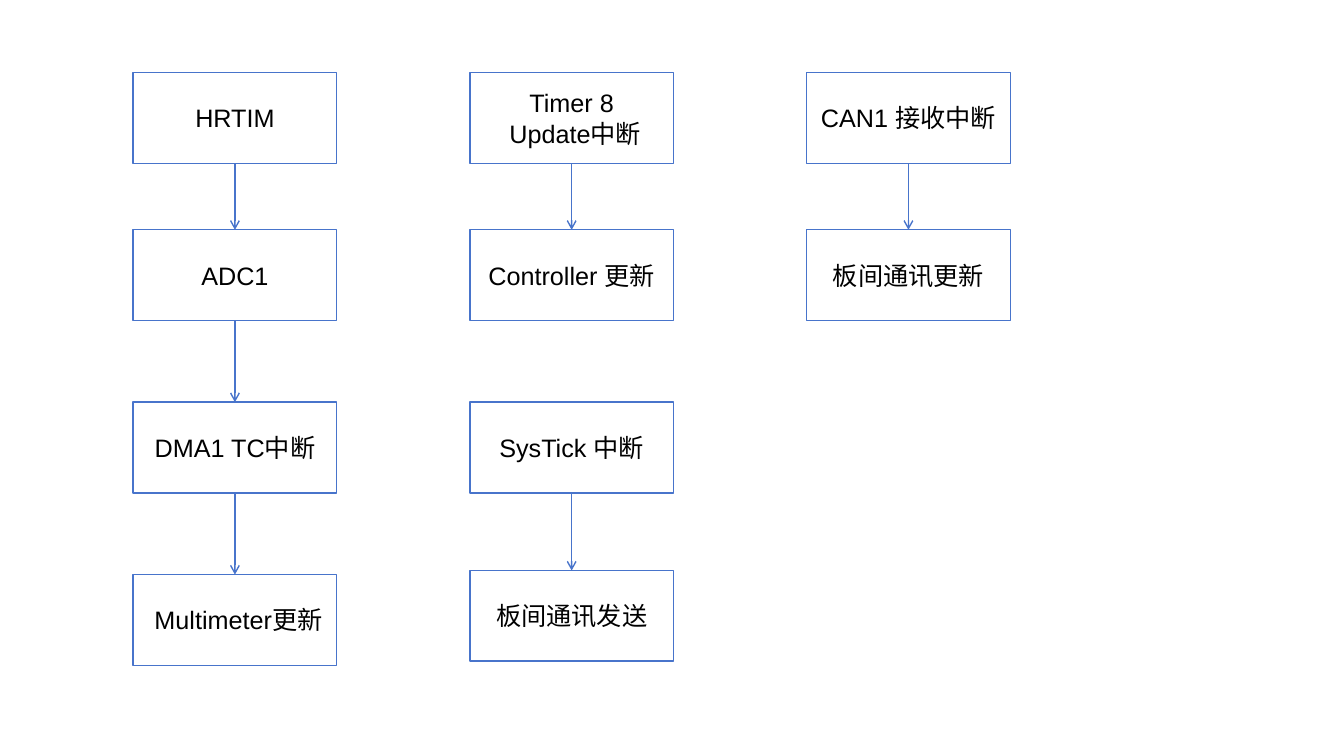
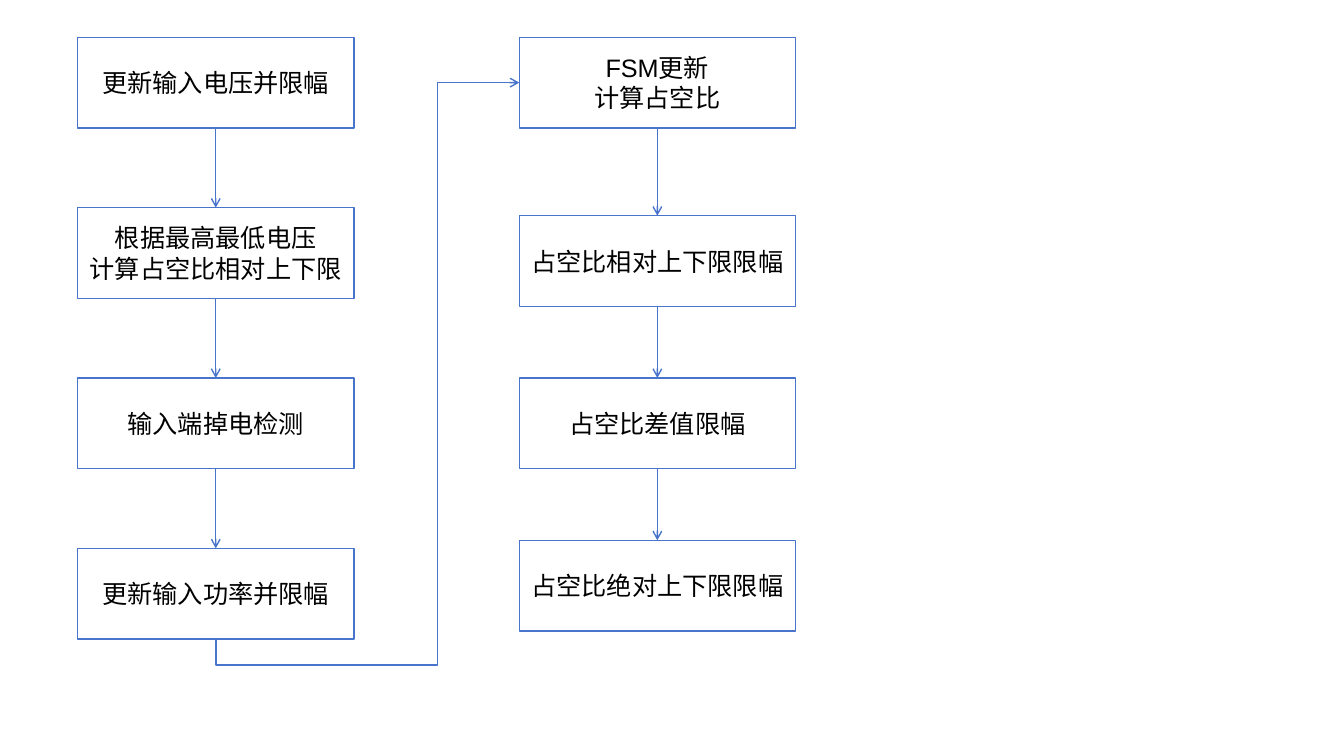
from lxml import etree
from pptx import Presentation
from pptx.dml.color import RGBColor
from pptx.enum.shapes import MSO_CONNECTOR, MSO_SHAPE
from pptx.enum.text import MSO_ANCHOR, PP_ALIGN
from pptx.oxml.ns import qn
from pptx.util import Inches, Pt

RECT = MSO_SHAPE.RECTANGLE
STRAIGHT, ELBOW = MSO_CONNECTOR.STRAIGHT, MSO_CONNECTOR.ELBOW
MIDDLE, CENTER = MSO_ANCHOR.MIDDLE, PP_ALIGN.CENTER

# Shared look
BLUE = RGBColor(0x48, 0x74, 0xCB)
BLACK = RGBColor(0, 0, 0)
FRAME = {"word_wrap": True, "vertical_anchor": MIDDLE}
FONT = {"name": "Arial", "size": Pt(18)}
BOX_H = 0.9
TOP, LEFT, BOTTOM = 0, 1, 2  # connection sites of a box

# Grids, in inches: first column, column step, box width, row tops
TASKS = {"left": 1.32, "step": 3.34, "width": 2.02,
         "rows": [0.72, 2.28, 3.99, 5.7]}
STEPS = {"left": 0.77, "step": 4.38, "width": 2.74,
         "rows": [0.37 + 1.69 * i for i in range(4)]}
LIMITS = {**STEPS, "rows": [0.37, 2.14, 3.75, 5.36]}
SENDS = {**TASKS, "rows": [3.99, 5.66]}

# Chains of boxes: grid, column, texts
TASK_FLOWS = [
    (TASKS, 0, ["HRTIM", "ADC1", "DMA1 TC中断", " Multimeter更新"]),
    (TASKS, 1, ["Timer 8\n Update中断", "Controller 更新"]),
    (SENDS, 1, ["SysTick 中断", "板间通讯发送"]),
    (TASKS, 2, ["CAN1 接收中断", "板间通讯更新"]),
]
STEP_FLOWS = [
    (STEPS, 0, ["更新输入电压并限幅", "根据最高最低电压\n计算占空比相对上下限",
                "输入端掉电检测", "更新输入功率并限幅"]),
    (LIMITS, 1, ["FSM更新\n计算占空比", "占空比相对上下限限幅",
                 "占空比差值限幅", "占空比绝对上下限限幅"]),
]


def apply(item, values):
    for key, value in values.items():
        setattr(item, key, value)


def add_box(slide, grid, col, top, text):
    left = grid["left"] + col * grid["step"]
    box = slide.shapes.add_shape(RECT, Inches(left), Inches(top),
                                 Inches(grid["width"]), Inches(BOX_H))
    box.shadow.inherit = False
    box.fill.background()
    box.line.color.rgb = BLUE
    box.line.width = Pt(1)
    frame = box.text_frame
    apply(frame, FRAME)
    frame.text = text
    for para in frame.paragraphs:
        para.alignment = CENTER
        apply(para.font, FONT)
        para.font.color.rgb = BLACK
    return box


def add_arrow(slide, start, end, kind=STRAIGHT, site=TOP):
    arrow = slide.shapes.add_connector(kind, 0, 0, 0, 0)
    arrow.begin_connect(start, BOTTOM)
    arrow.end_connect(end, site)
    arrow.line.color.rgb = BLUE
    arrow.line.width = Pt(1)
    head = etree.SubElement(arrow.line._get_or_add_ln(), qn("a:tailEnd"))
    head.set("type", "arrow")
    etree.SubElement(arrow._element.spPr, qn("a:effectLst"))
    return arrow


def add_bend(slide, start, end, drop, share):
    """Lead down from start, up at a share of the way, then into end's left."""
    arrow = add_arrow(slide, start, end, ELBOW, LEFT)
    wide = abs(arrow.end_x - arrow.begin_x)
    high = abs(arrow.end_y - arrow.begin_y)
    mid_x = (arrow.begin_x + arrow.end_x) // 2
    mid_y = (arrow.begin_y + arrow.end_y) // 2
    # A quarter turn swaps width and height around the same centre
    apply(arrow, {"left": mid_x - high // 2, "top": mid_y - wide // 2,
                  "width": high, "height": wide})
    props = arrow._element.spPr
    apply_xml = {"rot": "5400000", "flipH": "1", "flipV": "1"}
    for key, value in apply_xml.items():
        props.find(qn("a:xfrm")).set(key, value)
    shape = props.find(qn("a:prstGeom"))
    shape.set("prst", "bentConnector4")
    guides = shape.find(qn("a:avLst"))
    if guides is None:
        guides = etree.SubElement(shape, qn("a:avLst"))
    for name, part in (("adj1", -Inches(drop) / high), ("adj2", share)):
        guide = etree.SubElement(guides, qn("a:gd"))
        guide.set("name", name)
        guide.set("fmla", f"val {round(part * 100000)}")


def add_flow(slide, grid, col, texts):
    boxes = [add_box(slide, grid, col, top, text)
             for top, text in zip(grid["rows"], texts)]
    for start, end in zip(boxes, boxes[1:]):
        add_arrow(slide, start, end)
    return boxes


def add_page(deck, flows):
    slide = deck.slides.add_slide(deck.slide_layouts[6])
    return slide, [add_flow(slide, *flow) for flow in flows]


def main():
    deck = Presentation()
    apply(deck, {"slide_width": Inches(13.33), "slide_height": Inches(7.5)})

    # Interrupts and the tasks they start
    add_page(deck, TASK_FLOWS)

    # Control loop, one column leading into the next
    slide, (first, second) = add_page(deck, STEP_FLOWS)
    add_bend(slide, first[-1], second[0], drop=0.26, share=0.73)

    deck.save("out.pptx")


if __name__ == "__main__":
    main()
